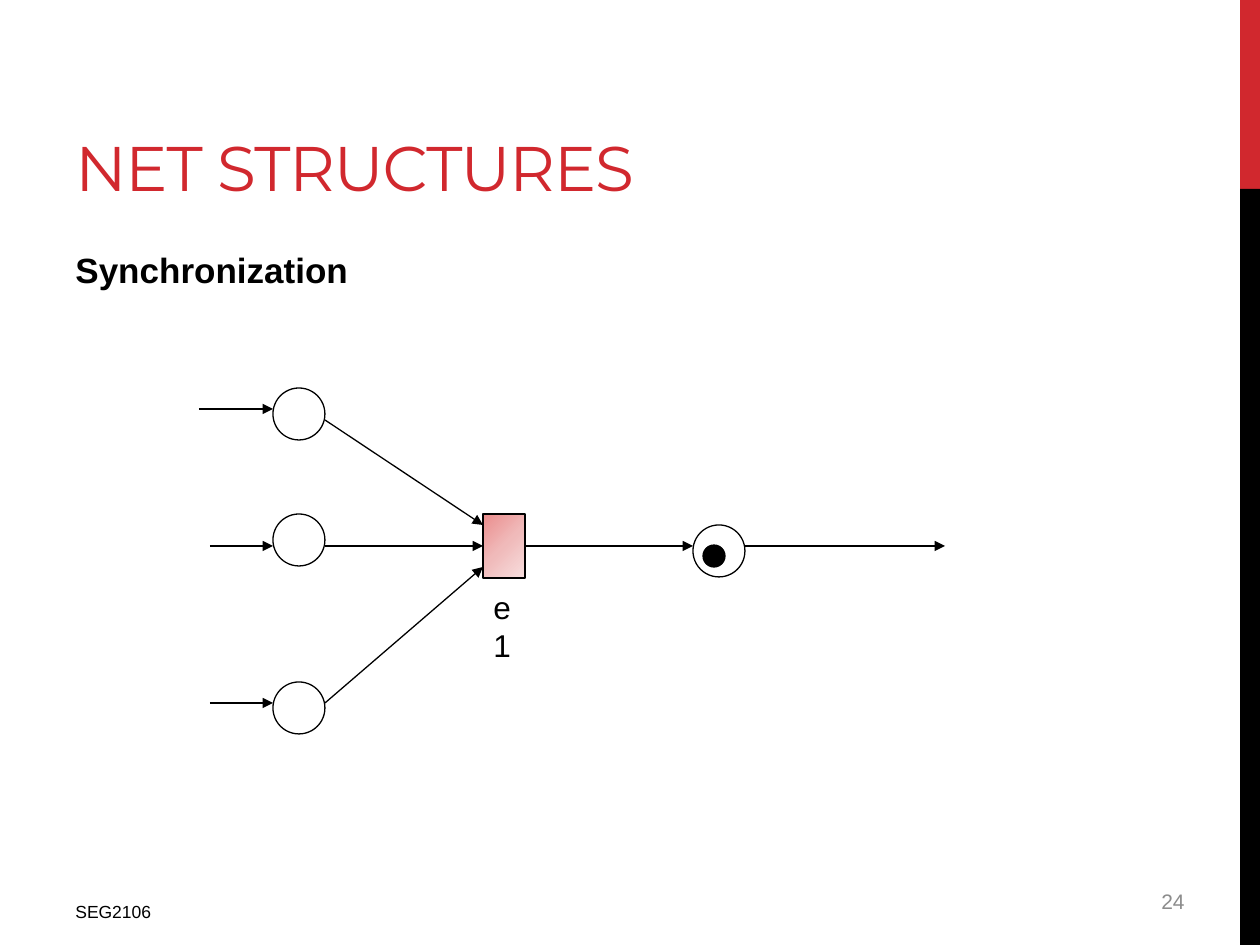
from copy import deepcopy

from pptx import Presentation
from pptx import util as u
from pptx.dml.color import RGBColor
from pptx.enum import shapes, text
from pptx.oxml.ns import qn
from lxml import etree

PX = 914400 / 126
COLORS = {
    "red": "D1282E", "black": "000000", "gray": "8C8C8C",
    "event_dark": "EA8C8C", "event_mid": "F0BABA", "event_light": "F7DEDE",
}
PLACE = 52  # diameter of a place
TOKEN = 22  # diameter of a token
LINE = u.Pt(0.75)


def px(value):
    return u.Emu(round(value * PX))


def rgb(name):
    return RGBColor.from_string(COLORS[name])


def add_shape(page, kind, left, top, width, height, fill=None, outline=True):
    shape = page.shapes.add_shape(kind, *map(px, (left, top, width, height)))
    shape.shadow.inherit = False
    if fill:
        shape.fill.solid()
        shape.fill.fore_color.rgb = rgb(fill)
    else:
        shape.fill.background()
    if outline:
        shape.line.color.rgb = rgb("black")
        shape.line.width = LINE
    else:
        shape.line.fill.background()
    return shape


def add_circle(page, left, top, size=PLACE, fill=None):
    return add_shape(page, shapes.MSO_SHAPE.OVAL, left, top, size, size, fill)


def add_event(page, left, top, width, height):
    event = add_shape(page, shapes.MSO_SHAPE.RECTANGLE, left, top, width, height)
    event.fill.gradient()
    event.fill.gradient_angle = 315
    # The default gradient has two stops; a middle one is inserted
    stop_list = event._element.spPr.find(qn("a:gradFill")).find(qn("a:gsLst"))
    stop_list.insert(1, deepcopy(stop_list[0]))
    names = ("event_dark", "event_mid", "event_light")
    for stop, name, position in zip(event.fill.gradient_stops, names, (0, 0.5, 1)):
        stop.color.rgb = rgb(name)
        stop.position = position
    return event


def add_arrow(page, start, end):
    arrow = page.shapes.add_connector(
        shapes.MSO_CONNECTOR.STRAIGHT, *map(px, (*start, *end)))
    arrow.line.color.rgb = rgb("black")
    arrow.line.width = LINE
    line = arrow.line._get_or_add_ln()
    etree.SubElement(line, qn("a:tailEnd"), type="triangle")
    etree.SubElement(arrow._element.spPr, qn("a:effectLst"))
    return arrow


def add_text(page, words, left, top, width, height, color="black",
             anchor=text.MSO_ANCHOR.TOP, align=text.PP_ALIGN.LEFT,
             spacing=None, **font):
    box = page.shapes.add_textbox(*map(px, (left, top, width, height)))
    frame = box.text_frame
    frame.word_wrap = True
    frame.vertical_anchor = anchor
    para = frame.paragraphs[0]
    para.alignment = align
    span = para.add_run()
    span.text = words
    for name, value in {"name": "Arial", **font}.items():
        setattr(span.font, name, value)
    span.font.color.rgb = rgb(color)
    if spacing:
        span._r.get_or_add_rPr().set("spc", str(spacing))
    return box


def add_frame(page):
    # Side bar
    bar = shapes.MSO_SHAPE.RECTANGLE
    add_shape(page, bar, 1240, 0, 20, 189, "red", outline=False)
    add_shape(page, bar, 1240, 189, 20, 756, "black", outline=False)
    # Title, heading and footer
    add_text(page, "NET STRUCTURES", 63, 21, 955, 189, "red",
             anchor=text.MSO_ANCHOR.BOTTOM, spacing=-60,
             name="Montserrat", size=u.Pt(36))
    add_text(page, "Synchronization", 63, 242, 1050, 602,
             size=u.Pt(20), bold=True)
    add_text(page, "24", 903, 876, 294, 50, "gray",
             anchor=text.MSO_ANCHOR.MIDDLE, align=text.PP_ALIGN.RIGHT,
             size=u.Pt(12))
    add_text(page, "SEG2106", 63, 895, 472, 39, size=u.Pt(10))


def add_net(page):
    event_left, event_top, event_width, event_height = 483, 514, 42, 64
    event_right = event_left + event_width
    middle = event_top + event_height // 2
    event = add_event(page, event_left, event_top, event_width, event_height)
    add_text(page, "e1", 481, 582, 55, 50, size=u.Pt(18))

    # Input places: top, arrow-in start x and y, arrow-out start y and end y
    place_left = 273
    place_right = place_left + PLACE
    inputs = [
        (388, 199, 409, 420, 525),
        (514, 210, middle, middle, middle),
        (682, 210, 703, 703, 567),
    ]
    for top, in_x, in_y, out_y, event_y in inputs:
        add_circle(page, place_left, top)
        add_arrow(page, (in_x, in_y), (place_left, in_y))
        arrow = add_arrow(page, (place_right, out_y), (event_left, event_y))
        if event_y == middle:
            arrow.end_connect(event, 1)

    # Output place with its token
    output_left = 693
    add_circle(page, output_left, 525)
    add_circle(page, 703, 545, TOKEN, "black")
    arrow = add_arrow(page, (event_right, middle), (output_left, middle))
    arrow.begin_connect(event, 3)
    add_arrow(page, (output_left + PLACE, middle), (945, middle))


def main():
    deck = Presentation()
    deck.slide_width, deck.slide_height = px(1260), px(945)
    page = deck.slides.add_slide(deck.slide_layouts[6])
    add_frame(page)
    add_net(page)
    deck.save("out.pptx")


if __name__ == "__main__":
    main()
